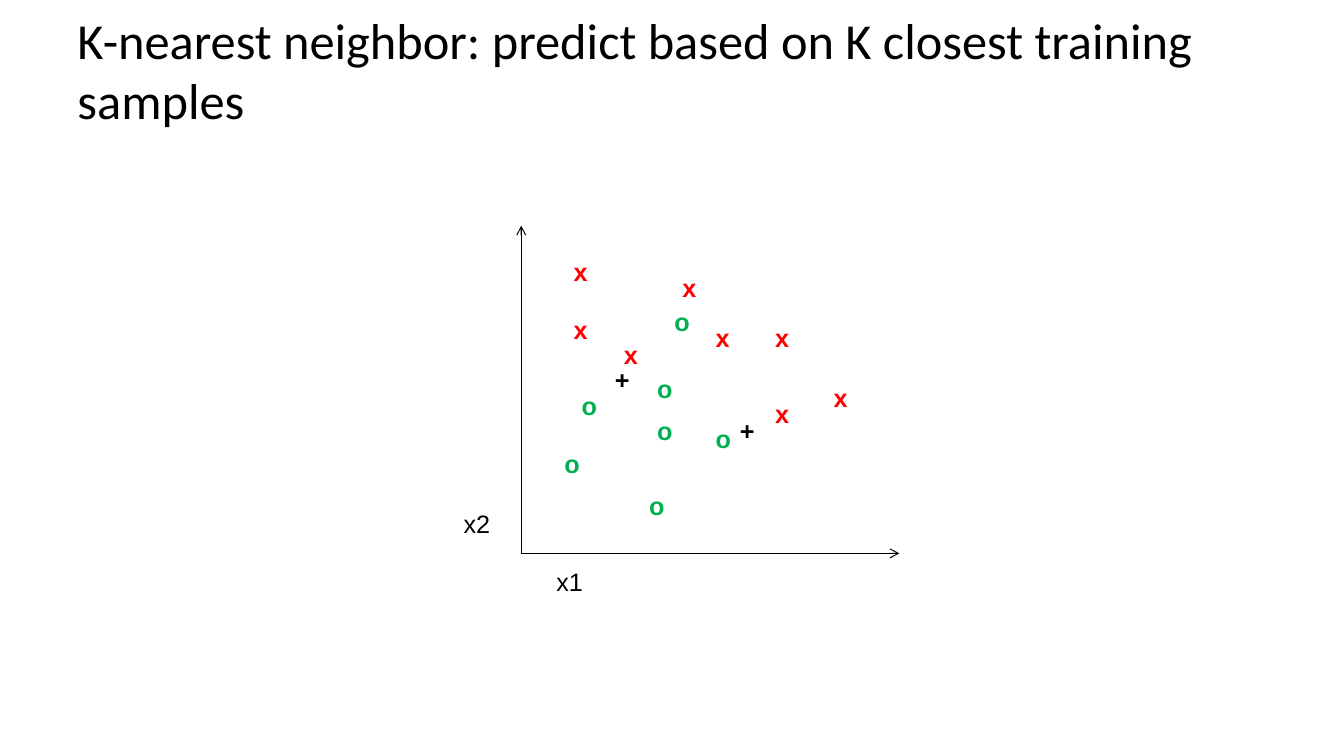
from lxml import etree
from pptx import Presentation
from pptx.dml.color import RGBColor
from pptx.enum.shapes import MSO_CONNECTOR
from pptx.enum.text import MSO_ANCHOR, MSO_AUTO_SIZE
from pptx.oxml.ns import qn
from pptx.util import Pt

PX = 9144
BLACK, RED, GREEN = "000000", "FF0000", "00B050"


def color(value):
    return RGBColor.from_string(value)


def add_text(page, text, left, top, width, height, size, font, fill, bold=False):
    box = page.shapes.add_textbox(left * PX, top * PX, width * PX, height * PX)
    para = box.text_frame.paragraphs[0]
    span = para.add_run()
    span.text = text
    span.font.size = Pt(size)
    span.font.name = font
    span.font.bold = bold
    span.font.color.rgb = color(fill)
    return box.text_frame


deck = Presentation()
deck.slide_width = 1333 * PX
deck.slide_height = 750 * PX
page = deck.slides.add_slide(deck.slide_layouts[6])

title = add_text(page, "K-nearest neighbor: predict based on K closest training samples",
                 67, 19, 1200, 100, 36, "Calibri", BLACK)
title.word_wrap = True
title.vertical_anchor = MSO_ANCHOR.MIDDLE

origin = (517, 549)
for tip in [(517, 224), (892, 549)]:
    axis = page.shapes.add_connector(
        MSO_CONNECTOR.STRAIGHT, *[value * PX for value in origin + tip])
    axis.line.color.rgb = color(BLACK)
    axis.line.width = Pt(0.75)
    etree.SubElement(axis.line._get_or_add_ln(), qn("a:tailEnd"), type="arrow")
    etree.SubElement(axis._element.spPr, qn("a:effectLst"))

marks = [
    ("x", RED, 34, True, [(700, 315), (759, 315), (759, 390), (817, 374),
                          (559, 249), (559, 307), (667, 265), (609, 332)]),
    ("o", GREEN, 36, True, [(659, 299), (700, 415), (550, 440), (567, 382),
                            (634, 482), (642, 407), (642, 365)]),
    ("x2", BLACK, 47, False, [(450, 499)]),
    ("x1", BLACK, 47, False, [(542, 557)]),
    ("+", BLACK, 35, True, [(600, 357), (724, 407)]),
]
for symbol, fill, width, bold, points in marks:
    for left, top in points:
        mark = add_text(page, symbol, left, top, width, 40, 18, "Arial", fill, bold)
        mark.word_wrap = False
        mark.auto_size = MSO_AUTO_SIZE.SHAPE_TO_FIT_TEXT

deck.save("out.pptx")
